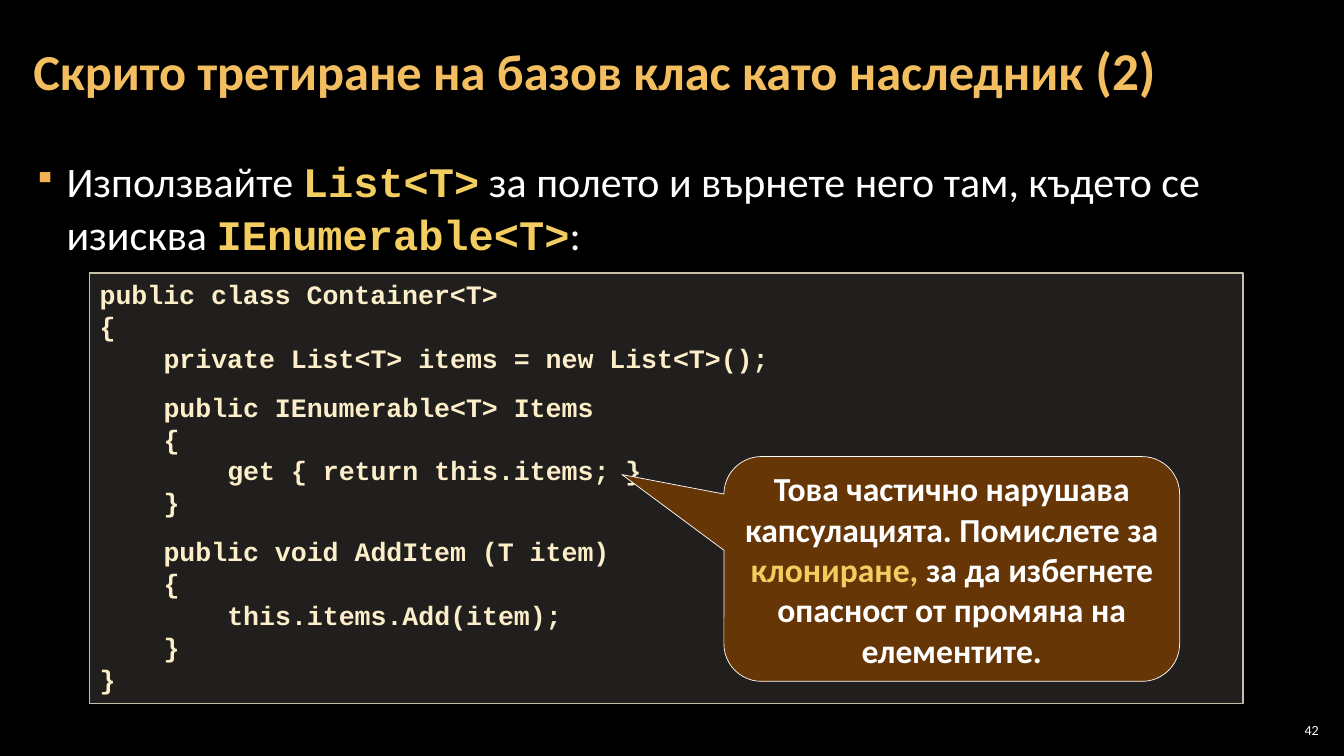
import pptx
import pptx.util
import pptx.dml.color
import pptx.enum.shapes
import pptx.enum.text
import pptx.oxml
import pptx.oxml.ns
import lxml.etree
from dataclasses import dataclass

TITLE = [("Скрито третиране на базов клас като наследник ", "title"), ("(2)", "title_number")]
ADVICE = [
    ("Използвайте ", "body"),
    ("List<T>", "keyword"),
    (" за полето и върнете него там, където се изисква ", "body"),
    ("IEnumerable<T>", "keyword"),
    (":", "body"),
]
CODE = [
    [(0, "public class Container<T>"), (0, "{"),
     (1, "private List<T> items = new List<T>();")],
    [(1, "public IEnumerable<T> Items"), (1, "{"),
     (2, "get { return this.items; }"), (1, "}")],
    [(1, "public void AddItem (T item)"), (1, "{"),
     (2, "this.items.Add(item);"), (1, "}"), (0, "}")],
]
WARNING = [
    ("Това частично нарушава капсулацията. Помислете за ", "warning"),
    ("клониране, ", "warning_key"),
    ("за да избегнете опасност от промяна на елементите.", "warning"),
]
PAGE = [("42", "page")]


@dataclass(frozen=True)
class Theme:
    background = "000000"
    bullet, bullet_percent = "F2B254", 75
    panel, panel_alpha, panel_line = "D9D5C7", 15, "C7BFAC"
    callout, callout_line = "663606", "FFFFFF"
    styles = {
        "title": ("Calibri", 36, "F3BE60", True),
        "title_number": ("Calibri", 38, "F3BE60", True),
        "body": ("Calibri", 30, "FFFFFF", False),
        "keyword": ("Courier New", 30, "F3CD60", True),
        "code": ("Courier New", 19, "FBEEC9", True),
        "warning": ("Calibri", 24, "FFFFFF", True),
        "warning_key": ("Calibri", 24, "F3CD60", True),
        "page": ("Calibri", 10, "FFFFFF", False),
    }


THEME = Theme()
WIDTH, HEIGHT = 13.33, 7.5
LEFT, BODY_WIDTH = 0.21, 12.91
TITLE_BOX = (LEFT, 0.04, 12.44, 1.37)
ADVICE_BOX = (LEFT, 1.48, BODY_WIDTH, 5.77)
CODE_BOX = (0.89, 2.71, 11.44, 4.27)
WARNING_BOX = (7.18, 4.53, 4.52, 2.23)
PAGE_BOX = (LEFT + BODY_WIDTH - 0.47, 7.14, 0.47, 0.21)
POINTER = (-0.724, -0.42, 0.167)
BULLET_INDENT = 0.33
TAB_CHARS, CHAR_SHARE = 4, 0.6
ALIGN = pptx.enum.text.PP_ALIGN
ANCHOR = pptx.enum.text.MSO_ANCHOR
SHAPE = pptx.enum.shapes.MSO_SHAPE


def inches(box):
    return [pptx.util.Inches(length) for length in box]


def rgb(code):
    return pptx.dml.color.RGBColor.from_string(code)


def style(font, name):
    font.name, size, color, font.bold = THEME.styles[name]
    font.size = pptx.util.Pt(size)
    font.color.rgb = rgb(color)


def write(paragraph, runs, align=ALIGN.LEFT):
    paragraph.alignment = align
    style(paragraph.font, runs[0][1])
    for text, name in runs:
        run = paragraph.add_run()
        run.text = text
        style(run.font, name)


def frame_of(shape, margins, anchor):
    frame = shape.text_frame
    frame.word_wrap = True
    frame.auto_size = pptx.enum.text.MSO_AUTO_SIZE.NONE
    frame.vertical_anchor = anchor
    frame.margin_left = frame.margin_right = pptx.util.Inches(margins[0])
    frame.margin_top = frame.margin_bottom = pptx.util.Inches(margins[1])
    return frame


def indent(paragraph, left, first=0.0):
    properties = paragraph._p.get_or_add_pPr()
    properties.set("marL", str(pptx.util.Inches(left)))
    properties.set("indent", str(pptx.util.Inches(first)))
    return properties


def add_panel(slide, kind, box, fill, line, line_width):
    panel = slide.shapes.add_shape(kind, *inches(box))
    panel.shadow.inherit = False
    panel.fill.solid()
    panel.fill.fore_color.rgb = rgb(fill)
    panel.line.color.rgb = rgb(line)
    panel.line.width = pptx.util.Pt(line_width)
    return panel


def add_title(slide):
    title = slide.shapes.title
    title.left, title.top, title.width, title.height = inches(TITLE_BOX)
    heading = frame_of(title, (0.12, 0.04), ANCHOR.MIDDLE).paragraphs[0]
    heading.line_spacing = 0.9
    write(heading, TITLE)


def add_advice(slide):
    advice = slide.shapes.add_textbox(*inches(ADVICE_BOX))
    paragraph = frame_of(advice, (0.12, 0.04), ANCHOR.TOP).paragraphs[0]
    paragraph.line_spacing = 1.05
    paragraph.space_before = paragraph.space_after = pptx.util.Pt(6)
    write(paragraph, ADVICE)
    properties = indent(paragraph, BULLET_INDENT, -BULLET_INDENT)
    defaults = properties.find(pptx.oxml.ns.qn("a:defRPr"))
    namespace = pptx.oxml.ns.nsdecls("a")
    for bullet in (
        f'<a:buClr {namespace}><a:srgbClr val="{THEME.bullet}"/></a:buClr>',
        f'<a:buSzPct {namespace} val="{THEME.bullet_percent * 1000}"/>',
        f'<a:buChar {namespace} char="▪"/>',
    ):
        defaults.addprevious(pptx.oxml.parse_xml(bullet))


def add_code(slide):
    panel = add_panel(slide, SHAPE.RECTANGLE, CODE_BOX, THEME.panel, THEME.panel_line, 1)
    color = panel.fill._xPr.find(".//" + pptx.oxml.ns.qn("a:srgbClr"))
    alpha = lxml.etree.SubElement(color, pptx.oxml.ns.qn("a:alpha"))
    alpha.set("val", str(THEME.panel_alpha * 1000))
    frame = frame_of(panel, (0.1, 0.05), ANCHOR.TOP)
    tab = TAB_CHARS * CHAR_SHARE * THEME.styles["code"][1] / 72
    for block_index, block in enumerate(CODE):
        for line_index, (level, text) in enumerate(block):
            first = block_index == line_index == 0
            paragraph = frame.paragraphs[0] if first else frame.add_paragraph()
            if block_index and not line_index:
                paragraph.space_before = pptx.util.Pt(12)
            write(paragraph, [(text, "code")])
            indent(paragraph, level * tab)


def add_warning(slide):
    callout = add_panel(slide, SHAPE.ROUNDED_RECTANGULAR_CALLOUT, WARNING_BOX,
                        THEME.callout, THEME.callout_line, 0.5)
    for index, value in enumerate(POINTER):
        callout.adjustments[index] = value
    frame = frame_of(callout, (0.04, 0), ANCHOR.MIDDLE)
    write(frame.paragraphs[0], WARNING, ALIGN.CENTER)


def add_page(slide):
    page = slide.shapes.add_textbox(*inches(PAGE_BOX))
    frame = frame_of(page, (0.04, 0.04), ANCHOR.MIDDLE)
    write(frame.paragraphs[0], PAGE, ALIGN.RIGHT)


def main():
    deck = pptx.Presentation()
    deck.slide_width, deck.slide_height = inches((WIDTH, HEIGHT))
    slide = deck.slides.add_slide(deck.slide_layouts[5])
    slide.background.fill.solid()
    slide.background.fill.fore_color.rgb = rgb(THEME.background)
    for add_part in (add_page, add_advice, add_title, add_code, add_warning):
        add_part(slide)
    deck.save("out.pptx")


if __name__ == "__main__":
    main()
